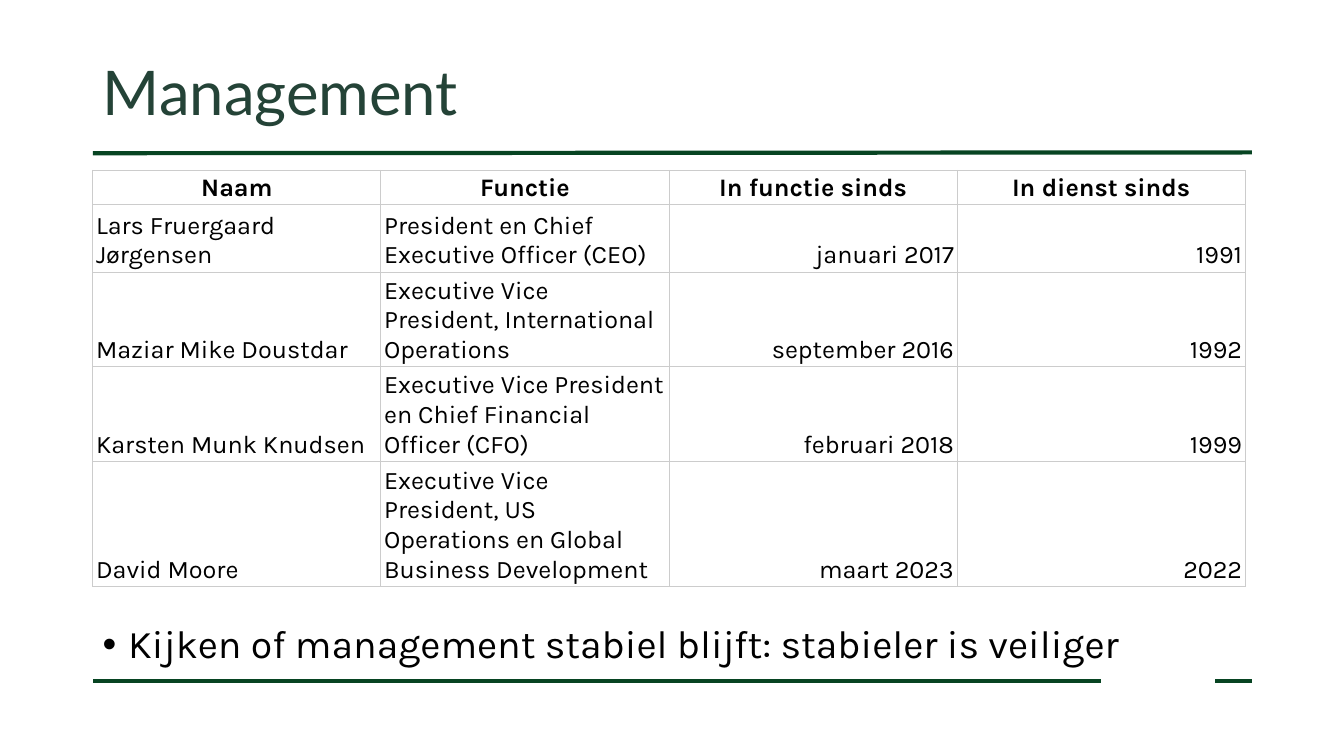
import pptx
import pptx.dml.color
import pptx.enum.shapes
import pptx.enum.text
import pptx.oxml
import pptx.oxml.ns
import pptx.util
from pptx.util import Cm

COLOURS = {"rule": "074422", "title": "244337", "text": "000000", "border": "CCCCCC"}
ALIGN = pptx.enum.text.PP_ALIGN
ANCHOR = pptx.enum.text.MSO_ANCHOR

LEFT = Cm(2.34)
RIGHT = Cm(31.55)
FOOT = Cm(17.17)
RULES = [
    (RIGHT, Cm(3.84), LEFT, Cm(3.86)),
    (Cm(27.74), FOOT, LEFT, FOOT),
    (RIGHT, FOOT, Cm(30.61), FOOT),
]
COLUMN_WIDTH = Cm(7.26)
ROW_HEIGHTS = [0.79, 1.7, 2.21, 2.21, 2.77]
HEADINGS = ["Naam", "Functie", "In functie sinds", "In dienst sinds"]
MANAGERS = [
    ["Lars Fruergaard Jørgensen", "President en Chief Executive Officer (CEO)",
     "januari 2017", "1991"],
    ["Maziar Mike Doustdar", "Executive Vice President, International Operations",
     "september 2016", "1992"],
    ["Karsten Munk Knudsen", "Executive Vice President en Chief Financial Officer (CFO)",
     "februari 2018", "1999"],
    ["David Moore", "Executive Vice President, US Operations en Global Business Development",
     "maart 2023", "2022"],
]
COLUMN_ALIGNMENTS = [ALIGN.LEFT, ALIGN.LEFT, ALIGN.RIGHT, ALIGN.RIGHT]


def set_all(target, values):
    for name, value in values.items():
        setattr(target, name, value)


def write(frame, text, font, colour, para_format):
    """Fill a text frame with one formatted paragraph and return it."""
    para = frame.paragraphs[0]
    set_all(para, para_format)
    span = para.add_run()
    span.text = text
    set_all(span.font, font)
    span.font.color.rgb = pptx.dml.color.RGBColor.from_string(COLOURS[colour])
    return para


def add_rule(page, ends):
    rule = page.shapes.add_connector(pptx.enum.shapes.MSO_CONNECTOR.STRAIGHT, *ends)
    rule.line.color.rgb = pptx.dml.color.RGBColor.from_string(COLOURS["rule"])
    rule.line.width = pptx.util.Pt(3)
    properties = rule._element.spPr
    properties.append(properties.makeelement(pptx.oxml.ns.qn("a:effectLst"), {}))


def place_title(page, text):
    box = page.shapes.title
    set_all(box, {"left": LEFT, "top": Cm(1.02), "width": Cm(29.21), "height": Cm(2.79)})
    set_all(box.text_frame, {"vertical_anchor": ANCHOR.MIDDLE, "word_wrap": True,
                             "auto_size": pptx.enum.text.MSO_AUTO_SIZE.NONE})
    write(box.text_frame, text, {"name": "Lato", "size": pptx.util.Pt(44)}, "title",
          {"alignment": ALIGN.LEFT, "line_spacing": 0.9})


def add_bullet(page, text):
    box = page.shapes.add_textbox(LEFT, Cm(15.62), Cm(27.58), Cm(1.55))
    box.text_frame.word_wrap = True
    para = write(box.text_frame, text, {"name": "Karla", "size": pptx.util.Pt(28)}, "text",
                 {"line_spacing": 0.9, "space_before": pptx.util.Pt(10)})
    properties = para._p.get_or_add_pPr()
    properties.set("marL", str(Cm(0.64)))
    properties.set("indent", str(-Cm(0.64)))
    for tag, attribute, value in [("a:buFont", "typeface", "Arial"), ("a:buChar", "char", "•")]:
        properties.append(properties.makeelement(pptx.oxml.ns.qn(tag), {attribute: value}))


def add_borders(cell):
    properties = cell._tc.get_or_add_tcPr()
    for side in "LRTB":
        properties.append(pptx.oxml.parse_xml(
            f'<a:ln{side} {pptx.oxml.ns.nsdecls("a")} w="{pptx.util.Pt(0.75)}">'
            f'<a:solidFill><a:srgbClr val="{COLOURS["border"]}"/></a:solidFill></a:ln{side}>'))


def fill_cell(cell, text, bold, alignment):
    set_all(cell, {"margin_left": Cm(0.08), "margin_right": Cm(0.08),
                   "margin_top": Cm(0.05), "margin_bottom": Cm(0.05),
                   "vertical_anchor": ANCHOR.BOTTOM})
    add_borders(cell)
    cell.fill.background()
    write(cell.text_frame, text,
          {"name": "Karla", "size": pptx.util.Pt(18), "bold": bold}, "text",
          {"alignment": alignment})


def add_managers(page):
    rows = [HEADINGS] + MANAGERS
    frame = page.shapes.add_table(len(rows), len(HEADINGS), LEFT, Cm(4.29),
                                  COLUMN_WIDTH * len(HEADINGS), Cm(sum(ROW_HEIGHTS)))
    table = frame.table
    set_all(table, {"first_row": False, "horz_banding": False})
    for column in table.columns:
        column.width = COLUMN_WIDTH
    for row, (height, texts) in enumerate(zip(ROW_HEIGHTS, rows)):
        table.rows[row].height = Cm(height)
        for column, text in enumerate(texts):
            heading = row == 0
            alignment = ALIGN.CENTER if heading else COLUMN_ALIGNMENTS[column]
            fill_cell(table.cell(row, column), text, heading, alignment)


def main():
    deck = pptx.Presentation()
    set_all(deck, {"slide_width": Cm(33.87), "slide_height": Cm(19.05)})
    page = deck.slides.add_slide(deck.slide_layouts.get_by_name("Title Only"))
    for ends in RULES:
        add_rule(page, ends)
    place_title(page, "Management")
    add_bullet(page, "Kijken of management stabiel blijft: stabieler is veiliger")
    add_managers(page)
    deck.save("out.pptx")


if __name__ == "__main__":
    main()
